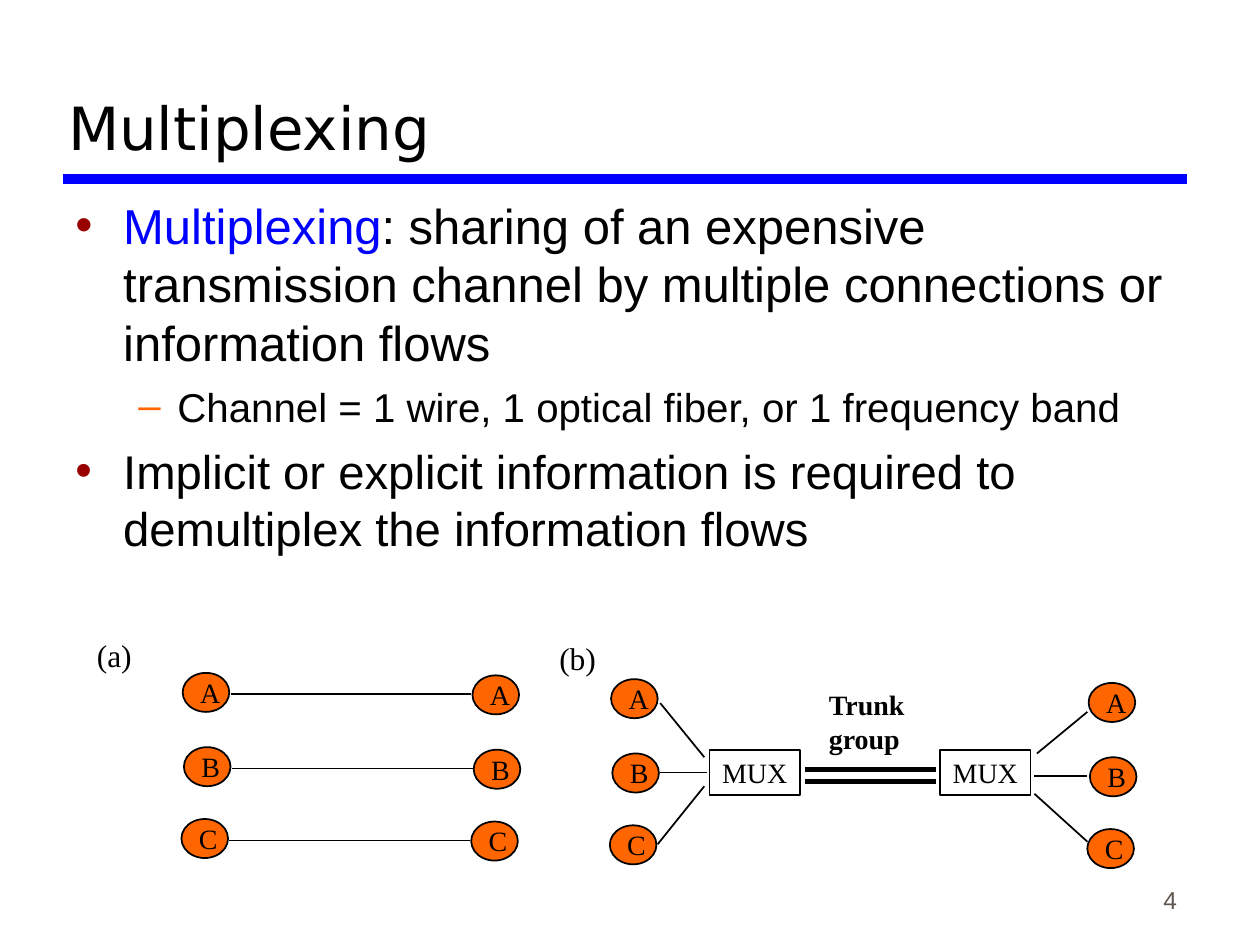
from dataclasses import dataclass

from lxml.etree import SubElement
from pptx import Presentation
from pptx.dml.color import RGBColor
from pptx.enum.shapes import MSO_CONNECTOR, MSO_SHAPE
from pptx.enum.text import MSO_ANCHOR, PP_ALIGN
from pptx.oxml.ns import qn
from pptx.util import Inches, Pt

BLACK = RGBColor(0x00, 0x00, 0x00)
BLUE = RGBColor(0x00, 0x00, 0xFF)
ORANGE = RGBColor(0xFF, 0x66, 0x00)
DARK_RED = RGBColor(0x99, 0x00, 0x00)
GREY = RGBColor(0x5E, 0x57, 0x4E)
SERIF = "Times New Roman"

NODE_WIDTH, NODE_HEIGHT = 0.37, 0.31
MUX_WIDTH, MUX_HEIGHT = 0.72, 0.36


@dataclass(frozen=True)
class Bullet:
    spans: tuple[tuple[str, RGBColor], ...]
    size: float
    space_before: float
    mark: str
    mark_color: RGBColor
    margin: float
    hanging: float
    level: int = 0


@dataclass(frozen=True)
class NodeColumn:
    left: float
    top: float


@dataclass(frozen=True)
class Line:
    start: tuple[float, float]
    end: tuple[float, float]
    width: float = 1
    color: RGBColor = BLACK


BULLETS = (
    Bullet((("Multiplexing", BLUE),
            (": sharing of an expensive transmission channel by multiple "
             "connections or information flows", BLACK)),
           28, 0, "•", DARK_RED, 0.38, 0.38),
    Bullet((("Channel = 1 wire, 1 optical fiber, or 1 frequency band", BLACK),),
           23, 5.8, "–", ORANGE, 0.81, 0.31, 1),
    Bullet((("Implicit or explicit information is required to demultiplex "
             "the information flows", BLACK),),
           27, 6.8, "•", DARK_RED, 0.38, 0.38),
)

# Each column holds nodes A, B and C, shifted from the column's corner
NODE_OFFSETS = {"A": (0, 0), "B": (0.01, 0.59), "C": (-0.01, 1.16)}
COLUMNS = (NodeColumn(1.45, 5.34), NodeColumn(3.75, 5.36),
           NodeColumn(4.85, 5.39), NodeColumn(8.64, 5.42))

DIRECT_LINES = tuple(
    Line((1.83 + shift, 5.51 + drop), (3.74 + shift, 5.51 + drop))
    for shift, drop in NODE_OFFSETS.values())
MUX_LINES = (
    Line((5.24, 5.58), (5.59, 6.01)),
    Line((5.24, 6.13), (5.61, 6.13)),
    Line((5.22, 6.7), (5.59, 6.24)),
    Line((8.23, 5.98), (8.63, 5.65)),
    Line((8.21, 6.16), (8.63, 6.16)),
    Line((8.21, 6.3), (8.63, 6.68)),
)
TRUNK_LINES = tuple(Line((6.39, y), (7.43, y), 3) for y in (6.11, 6.2))


def format_text(frame, size: float, font: str = SERIF,
                color: RGBColor = BLACK, bold: bool = False) -> None:
    for para in frame.paragraphs:
        for span in para.runs:
            span.font.size = Pt(size)
            span.font.name = font
            span.font.color.rgb = color
            span.font.bold = bold


def add_label(page, text: str, left: float, top: float, width: float,
              height: float, size: float = 16, bold: bool = False) -> None:
    box = page.shapes.add_textbox(Inches(left), Inches(top),
                                  Inches(width), Inches(height))
    box.text_frame.word_wrap = False
    box.text_frame.text = text
    format_text(box.text_frame, size, bold=bold)


def add_line(page, line: Line) -> None:
    connector = page.shapes.add_connector(
        MSO_CONNECTOR.STRAIGHT, *(Inches(v) for v in line.start + line.end))
    connector.line.color.rgb = line.color
    connector.line.width = Pt(line.width)
    SubElement(connector._element.spPr, qn("a:effectLst"))


def add_outlined(page, kind: MSO_SHAPE, left: float, top: float,
                 width: float, height: float):
    shape = page.shapes.add_shape(kind, Inches(left), Inches(top),
                                  Inches(width), Inches(height))
    shape.shadow.inherit = False
    shape.fill.background()
    shape.line.color.rgb = BLACK
    shape.line.width = Pt(1)
    return shape


def add_nodes(page, column: NodeColumn) -> None:
    for name, (shift, drop) in NODE_OFFSETS.items():
        left, top = column.left + shift, column.top + drop
        node = add_outlined(page, MSO_SHAPE.OVAL, left, top,
                            NODE_WIDTH, NODE_HEIGHT)
        node.fill.solid()
        node.fill.fore_color.rgb = ORANGE
        add_label(page, name, left + 0.04, top - 0.03, 0.36, 0.36)


def add_mux(page, left: float, top: float) -> None:
    mux = add_outlined(page, MSO_SHAPE.RECTANGLE, left, top,
                       MUX_WIDTH, MUX_HEIGHT)
    frame = mux.text_frame
    frame.word_wrap = False
    frame.text = "MUX"
    frame.paragraphs[0].alignment = PP_ALIGN.CENTER
    format_text(frame, 16)


def add_bullet(para, bullet: Bullet) -> None:
    para.level = bullet.level
    para.space_before = Pt(bullet.space_before)
    properties = para._p.get_or_add_pPr()
    properties.set("marL", str(Inches(bullet.margin)))
    properties.set("indent", str(-Inches(bullet.hanging)))
    color = SubElement(properties, qn("a:buClr"))
    SubElement(color, qn("a:srgbClr"), val=str(bullet.mark_color))
    SubElement(properties, qn("a:buFont"), typeface="Arial")
    SubElement(properties, qn("a:buChar"), char=bullet.mark)
    for text, text_color in bullet.spans:
        span = para.add_run()
        span.text = text
        span.font.size = Pt(bullet.size)
        span.font.name = "Arial"
        span.font.color.rgb = text_color


def add_title(page) -> None:
    title = page.shapes.title
    title.left, title.top = Inches(0.44), Inches(0.17)
    title.width, title.height = Inches(8.97), Inches(1.17)
    frame = title.text_frame
    frame.text = "Multiplexing"
    frame.vertical_anchor = MSO_ANCHOR.BOTTOM
    frame.paragraphs[0].alignment = PP_ALIGN.LEFT
    format_text(frame, 34, "DejaVu Sans")
    add_line(page, Line((0.5, 1.42), (9.42, 1.42), 6, BLUE))


def add_body(page) -> None:
    box = page.shapes.add_textbox(Inches(0.5), Inches(1.5),
                                  Inches(8.94), Inches(3.4))
    frame = box.text_frame
    frame.word_wrap = True
    for index, bullet in enumerate(BULLETS):
        para = frame.add_paragraph() if index else frame.paragraphs[0]
        add_bullet(para, bullet)


def add_page_number(page) -> None:
    box = page.shapes.add_textbox(Inches(7.36), Inches(6.81),
                                  Inches(2.08), Inches(0.5))
    frame = box.text_frame
    frame.word_wrap = True
    frame.vertical_anchor = MSO_ANCHOR.BOTTOM
    frame.text = "4"
    frame.paragraphs[0].alignment = PP_ALIGN.RIGHT
    format_text(frame, 14, "Arial", GREY)


def main() -> None:
    deck = Presentation()
    deck.slide_width, deck.slide_height = Inches(10), Inches(7.5)
    page = deck.slides.add_slide(deck.slide_layouts[5])

    # Text
    add_title(page)
    add_body(page)
    add_page_number(page)

    # Diagrams: (a) separate channels, (b) one shared trunk group
    for column in COLUMNS:
        add_nodes(page, column)
    for left in (5.63, 7.46):
        add_mux(page, left, 5.95)
    for line in DIRECT_LINES + MUX_LINES + TRUNK_LINES:
        add_line(page, line)
    add_label(page, "(a)", 0.67, 5, 0.48, 0.4, 18)
    add_label(page, "(b)", 4.34, 5.02, 0.49, 0.4, 18)
    add_label(page, "Trunk\ngroup", 6.48, 5.41, 0.81, 0.63, bold=True)

    deck.save("out.pptx")


if __name__ == "__main__":
    main()
